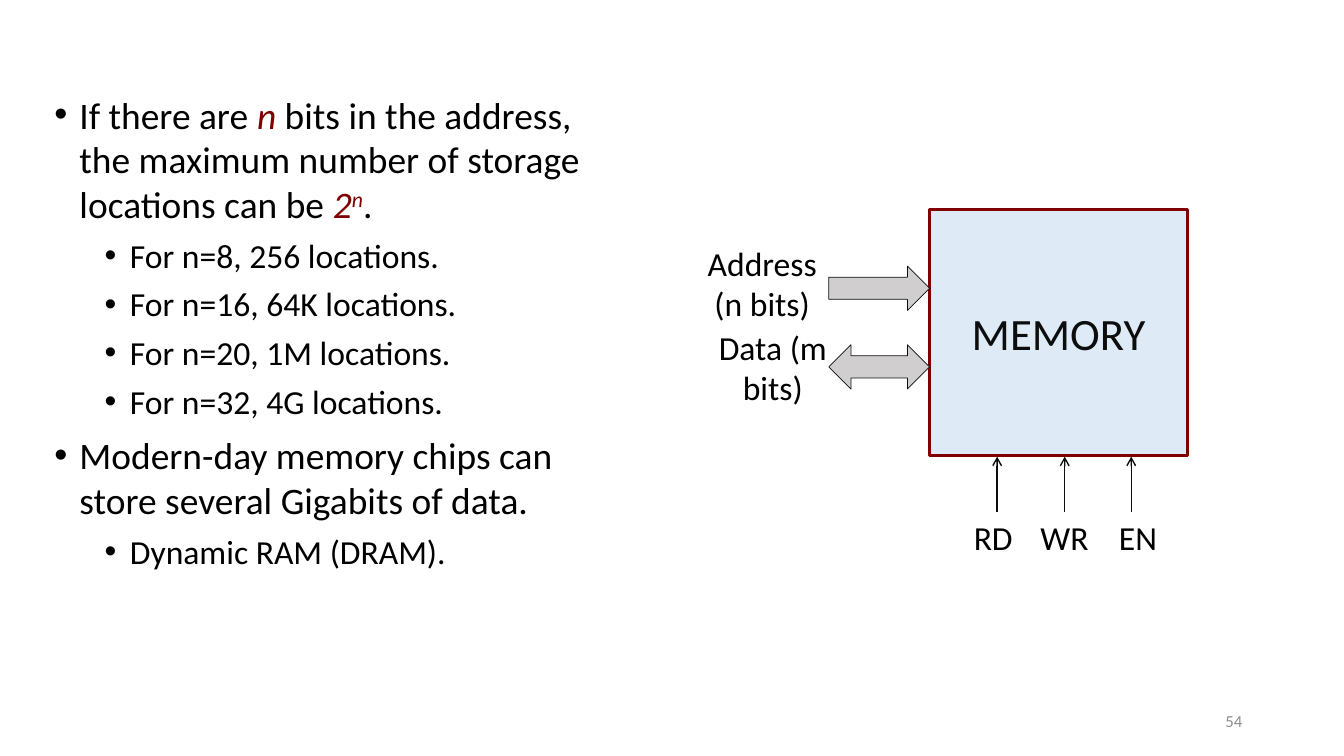
from lxml import etree
from pptx import Presentation
from pptx.dml.color import RGBColor
from pptx.enum.shapes import MSO_CONNECTOR, MSO_SHAPE
from pptx.enum.text import MSO_ANCHOR, PP_ALIGN
from pptx.oxml.ns import qn
from pptx.util import Inches, Pt

BLACK = RGBColor(0x00, 0x00, 0x00)
INK = RGBColor(0x0D, 0x0D, 0x0D)
MAROON = RGBColor(0x80, 0x00, 0x00)
PALE_BLUE = RGBColor(0xDE, 0xEB, 0xF7)
ARROW_GRAY = RGBColor(0xD0, 0xCE, 0xCE)
NUMBER_GRAY = RGBColor(0x8C, 0x8C, 0x8C)

RECTANGLE = MSO_SHAPE.RECTANGLE
RIGHT_ARROW = MSO_SHAPE.RIGHT_ARROW
TWO_WAY_ARROW = MSO_SHAPE.LEFT_RIGHT_ARROW
STRAIGHT = MSO_CONNECTOR.STRAIGHT
LEFT, CENTER, RIGHT = PP_ALIGN.LEFT, PP_ALIGN.CENTER, PP_ALIGN.RIGHT
TOP, MIDDLE = MSO_ANCHOR.TOP, MSO_ANCHOR.MIDDLE

PLAIN, VARIABLE, EXPONENT = "plain", "variable", "exponent"

# Each bullet: level, space after in points, spans of (text, kind)
BULLETS = [
    (0, 6, [("If there are ", PLAIN), ("n", VARIABLE),
            (" bits in the address, the maximum number of storage locations can be ", PLAIN),
            ("2", VARIABLE), ("n", EXPONENT), (".", PLAIN)]),
    (1, 6, [("For n=8, 256 locations.", PLAIN)]),
    (1, 6, [("For n=16, 64K locations.", PLAIN)]),
    (1, 6, [("For n=20, 1M locations.", PLAIN)]),
    (1, 8, [("For n=32, 4G locations.", PLAIN)]),
    (0, 6, [("Modern-day memory chips can store several Gigabits of data.", PLAIN)]),
    (1, 6, [("Dynamic RAM (DRAM).", PLAIN)]),
]


class SlideBuilder:
    font_name = "Calibri"
    level_sizes = (26.7, 24)
    level_indents = (0.25, 0.75)
    hanging = 0.25

    def __init__(self, slide):
        self.slide = slide

    def style(self, font, size, color):
        font.name = self.font_name
        font.size = Pt(size)
        font.color.rgb = color

    def text_box(self, left, top, width, height):
        box = self.slide.shapes.add_textbox(
            Inches(left), Inches(top), Inches(width), Inches(height))
        box.text_frame.word_wrap = True
        return box

    def set_text(self, box, text, size, color=BLACK, align=LEFT, anchor=TOP):
        box.text_frame.text = text
        box.text_frame.vertical_anchor = anchor
        para = box.text_frame.paragraphs[0]
        para.alignment = align
        self.style(para.runs[0].font, size, color)

    def label(self, text, left, top, width, height, size=24, **options):
        self.set_text(self.text_box(left, top, width, height), text, size, **options)

    def bullet_list(self, bullets, left, top, width, height):
        frame = self.text_box(left, top, width, height).text_frame
        for index, (level, space_after, spans) in enumerate(bullets):
            para = frame.add_paragraph() if index else frame.paragraphs[0]
            para.level = level
            para.space_after = Pt(space_after)
            properties = para._p.get_or_add_pPr()
            properties.set("marL", str(Inches(self.level_indents[level])))
            properties.set("indent", str(-Inches(self.hanging)))
            etree.SubElement(properties, qn("a:buFont"), typeface="Arial")
            etree.SubElement(properties, qn("a:buChar"), char="•")
            for text, kind in spans:
                span = para.add_run()
                span.text = text
                color = BLACK if kind == PLAIN else MAROON
                self.style(span.font, self.level_sizes[level], color)
                span.font.italic = kind != PLAIN
                if kind == EXPONENT:
                    span._r.get_or_add_rPr().set("baseline", "30000")

    def shape(self, preset, left, top, width, height, fill, line, line_width):
        shape = self.slide.shapes.add_shape(
            preset, Inches(left), Inches(top), Inches(width), Inches(height))
        shape.shadow.inherit = False
        shape.fill.solid()
        shape.fill.fore_color.rgb = fill
        shape.line.color.rgb = line
        shape.line.width = Pt(line_width)
        return shape

    def up_arrow(self, x, bottom, top):
        arrow = self.slide.shapes.add_connector(
            STRAIGHT, Inches(x), Inches(bottom), Inches(x), Inches(top))
        arrow.line.color.rgb = INK
        arrow.line.width = Pt(1)
        etree.SubElement(arrow.line._get_or_add_ln(), qn("a:tailEnd"), type="arrow")
        etree.SubElement(arrow._element.spPr, qn("a:effectLst"))


def main():
    deck = Presentation()
    deck.slide_width = Inches(13.33)
    deck.slide_height = Inches(7.5)
    page = SlideBuilder(deck.slides.add_slide(deck.slide_layouts[6]))

    page.bullet_list(BULLETS, 0.44, 0.86, 5.67, 5.22)

    memory = page.shape(RECTANGLE, 9.22, 2.08, 2.56, 2.44, PALE_BLUE, MAROON, 2)
    page.set_text(memory, "MEMORY", 32, INK, CENTER, MIDDLE)

    for preset, top in ((RIGHT_ARROW, 2.64), (TWO_WAY_ARROW, 3.42)):
        page.shape(preset, 8.22, top, 1, 0.44, ARROW_GRAY, INK, 0.5)
    page.label("Address (n bits)", 6.78, 2.36, 1.56, 0.91, align=CENTER)
    page.label("Data (m bits)", 7, 3.19, 1.33, 0.91, align=CENTER)

    signals = (("RD", 9.89, 9.56, 0.67), ("WR", 10.56, 10.22, 0.78), ("EN", 11.22, 11, 0.67))
    for name, arrow_x, left, width in signals:
        page.up_arrow(arrow_x, 5.08, 4.53)
        page.label(name, left, 5.08, width, 0.5)

    page.label("54", 9.42, 6.95, 3, 0.4, size=12,
               color=NUMBER_GRAY, align=RIGHT, anchor=MIDDLE)

    deck.save("out.pptx")


if __name__ == "__main__":
    main()
